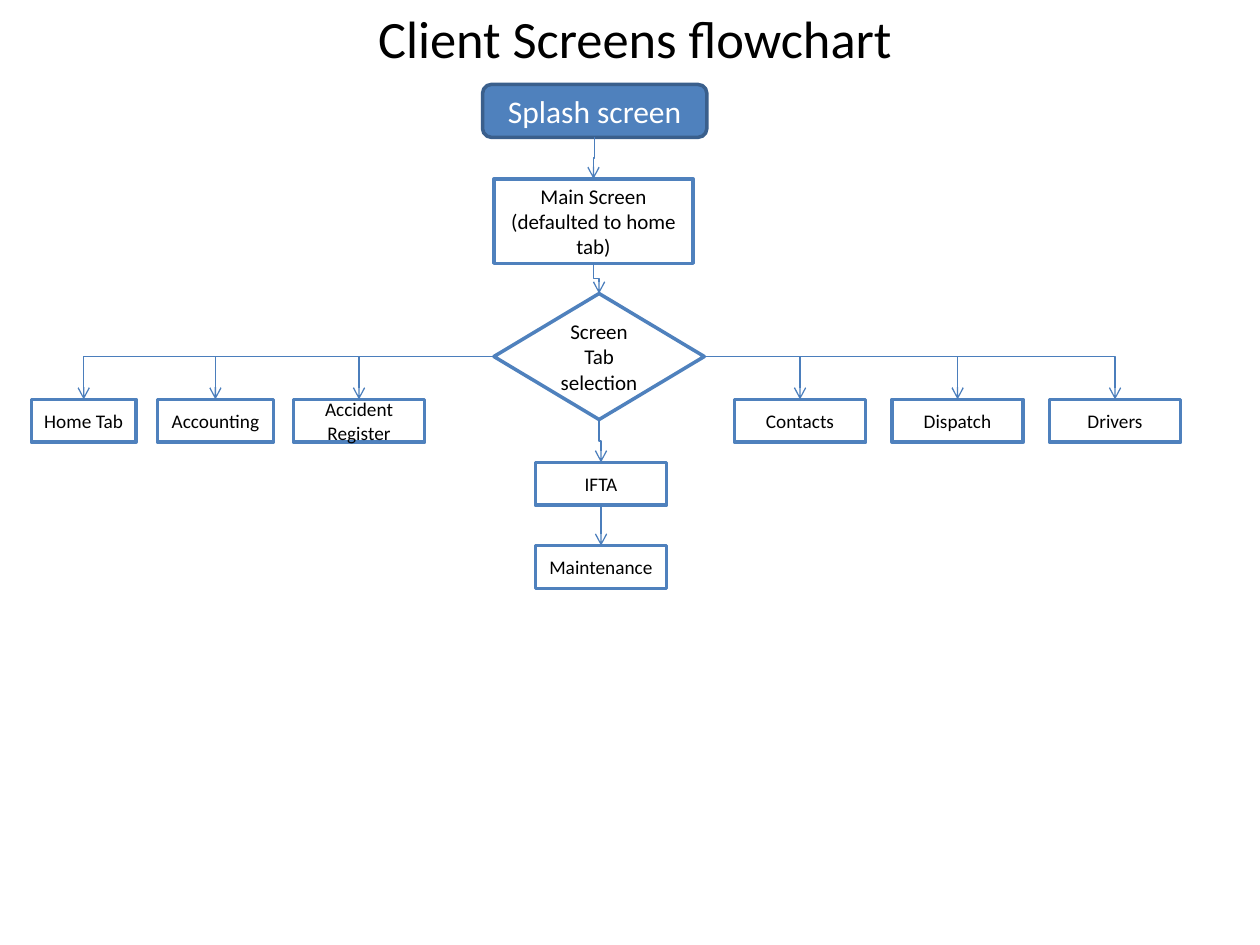
from dataclasses import dataclass

from lxml.etree import SubElement
from pptx import Presentation
from pptx.dml.color import RGBColor
from pptx.enum.shapes import MSO_CONNECTOR, MSO_SHAPE
from pptx.enum.text import MSO_ANCHOR, MSO_AUTO_SIZE, PP_ALIGN
from pptx.oxml.ns import qn
from pptx.util import Inches, Pt

TOP, LEFT, BOTTOM, RIGHT = range(4)  # connection sites


@dataclass(frozen=True)
class Theme:
    font: str = "Calibri"
    blue: RGBColor = RGBColor(0x4F, 0x81, 0xBD)
    dark_blue: RGBColor = RGBColor(0x3A, 0x5F, 0x8C)
    arrow: RGBColor = RGBColor(0x4B, 0x7E, 0xBC)
    white: RGBColor = RGBColor(0xFF, 0xFF, 0xFF)
    black: RGBColor = RGBColor(0, 0, 0)
    title_size: int = 30
    start_size: int = 18
    step_size: int = 12
    tab_size: int = 11
    outline: float = 2
    arrow_width: float = 0.75


class Flowchart:
    def __init__(self, slide, theme):
        self.slide = slide
        self.theme = theme

    def set_label(self, shape, text, size, color):
        shape.text_frame.text = text
        paragraph = shape.text_frame.paragraphs[0]
        paragraph.alignment = PP_ALIGN.CENTER
        font = paragraph.runs[0].font
        font.name, font.size = self.theme.font, Pt(size)
        font.color.rgb = color

    def title(self, text, left, top, width, height):
        box = self.slide.shapes.add_textbox(
            Inches(left), Inches(top), Inches(width), Inches(height))
        box.text_frame.word_wrap = False
        box.text_frame.auto_size = MSO_AUTO_SIZE.SHAPE_TO_FIT_TEXT
        self.set_label(box, text, self.theme.title_size, self.theme.black)

    def node(self, kind, text, left, top, width, height, size,
             fill=None, line=None, color=None):
        shape = self.slide.shapes.add_shape(
            kind, Inches(left), Inches(top), Inches(width), Inches(height))
        shape.shadow.inherit = False
        shape.fill.solid()
        shape.fill.fore_color.rgb = fill or self.theme.white
        shape.line.color.rgb = line or self.theme.blue
        shape.line.width = Pt(self.theme.outline)
        shape.text_frame.word_wrap = True
        shape.text_frame.vertical_anchor = MSO_ANCHOR.MIDDLE
        self.set_label(shape, text, size, color or self.theme.black)
        return shape

    def tab(self, text, left, top, width=1.04):
        return self.node(MSO_SHAPE.FLOWCHART_PROCESS, text, left, top, width,
                         0.34, self.theme.tab_size)

    def connect(self, source, source_site, target):
        """Draw an elbow arrow from a site of source to the top of target."""
        connector = self.slide.shapes.add_connector(MSO_CONNECTOR.ELBOW, 0, 0, 0, 0)
        connector.begin_connect(source, source_site)
        connector.end_connect(target, TOP)
        connector.line.color.rgb = self.theme.arrow
        connector.line.width = Pt(self.theme.arrow_width)
        shape_properties = connector._element.spPr
        SubElement(shape_properties.find(qn("a:ln")), qn("a:tailEnd"), type="arrow")
        SubElement(shape_properties, qn("a:effectLst"))
        return connector

    def arrow_down(self, source, target):
        """Turn the elbow a quarter so that it leaves and arrives vertically."""
        connector = self.connect(source, BOTTOM, target)
        across = connector.end_x - connector.begin_x
        down = connector.end_y - connector.begin_y
        center_x = connector.begin_x + across // 2
        center_y = connector.begin_y + down // 2
        connector.begin_x = center_x - down // 2
        connector.end_x = center_x + down // 2
        connector.begin_y = center_y + across // 2
        connector.end_y = center_y - across // 2
        connector._element.spPr.find(qn("a:xfrm")).set("rot", str(90 * 60000))

    def branch(self, source, site, target):
        """Run sideways from source, then down to target with a single bend."""
        connector = self.connect(source, site, target)
        geometry = connector._element.spPr.find(qn("a:prstGeom"))
        geometry.set("prst", "bentConnector2")


def main():
    presentation = Presentation()
    presentation.slide_width, presentation.slide_height = Inches(10), Inches(7.5)
    slide = presentation.slides.add_slide(presentation.slide_layouts[6])
    theme = Theme()
    chart = Flowchart(slide, theme)

    chart.title("Client Screens flowchart", 2.88, 0, 4.32, 0.61)
    splash = chart.node(
        MSO_SHAPE.FLOWCHART_ALTERNATE_PROCESS, "Splash screen",
        3.83, 0.67, 1.78, 0.42, theme.start_size,
        fill=theme.blue, line=theme.dark_blue, color=theme.white)
    main_screen = chart.node(
        MSO_SHAPE.FLOWCHART_PROCESS, "Main Screen (defaulted to home tab)",
        3.92, 1.42, 1.58, 0.67, theme.step_size)
    selection = chart.node(
        MSO_SHAPE.FLOWCHART_DECISION, "Screen Tab selection",
        3.92, 2.33, 1.67, 1, theme.step_size)
    ifta = chart.tab("IFTA", 4.25, 3.67)
    maintenance = chart.tab("Maintenance", 4.25, 4.33)

    row_top = 3.17
    left_tabs = [("Home Tab", 0.25, 0.83), ("Accounting", 1.25, 0.92),
                 ("Accident Register", 2.33, 1.04)]
    for text, left, width in left_tabs:
        chart.branch(selection, LEFT, chart.tab(text, left, row_top, width))
    for index, text in enumerate(["Contacts", "Dispatch", "Drivers"]):
        chart.branch(selection, RIGHT, chart.tab(text, 5.83 + 1.25 * index, row_top))

    spine = [splash, main_screen, selection, ifta, maintenance]
    for source, target in zip(spine, spine[1:]):
        chart.arrow_down(source, target)

    presentation.save("out.pptx")


if __name__ == "__main__":
    main()
